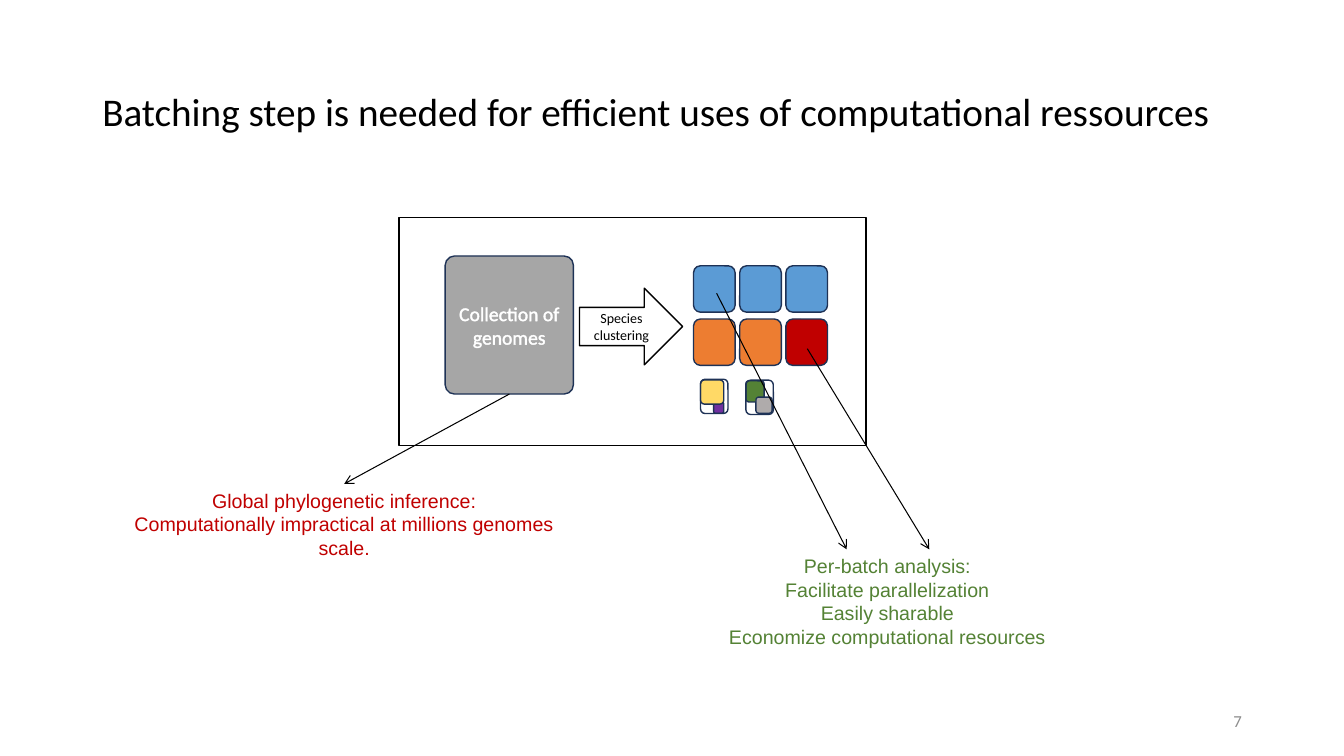
from lxml.etree import SubElement
from pptx import Presentation
from pptx.dml.color import RGBColor
from pptx.enum.shapes import MSO_CONNECTOR, MSO_SHAPE
from pptx.enum.text import MSO_ANCHOR, PP_ALIGN
from pptx.oxml import parse_xml
from pptx.oxml.ns import nsdecls, qn
from pptx.util import Pt

HUES = {
    "black": "000000", "white": "FFFFFF", "navy": "1E3256", "blue": "5B9BD5",
    "orange": "ED7D31", "red": "C00000", "purple": "7030A0", "yellow": "FFD966",
    "green": "548235", "silver": "AFABAB", "gray": "A6A6A6", "dim": "8C8C8C",
}
ROUND = MSO_SHAPE.ROUNDED_RECTANGLE


def hue(name):
    return RGBColor.from_string(HUES[name])


def write(shape, *lines, size=14, font="Calibri", color="black", align=PP_ALIGN.CENTER,
          anchor=MSO_ANCHOR.MIDDLE, space=None, edge=None):
    """Fill a shape with one paragraph per line; edge is the glyph outline colour."""
    frame = shape.text_frame
    frame.word_wrap = True
    frame.vertical_anchor = anchor
    for i, line in enumerate(lines):
        para = frame.add_paragraph() if i else frame.paragraphs[0]
        para.alignment = align
        if space:
            para.line_spacing = space
        run = para.add_run()
        run.text = line
        run.font.size = Pt(size)
        run.font.name = font
        run.font.color.rgb = hue(color)
        if edge:
            run.font._element.insert(0, parse_xml(
                f'<a:ln {nsdecls("a")} w="9525"><a:solidFill>'
                f'<a:srgbClr val="{HUES[edge]}"/></a:solidFill></a:ln>'))


class Board:
    def __init__(self, slide):
        self.shapes = slide.shapes
        self.stroke = 1
        self.thin = 0.75

    def block(self, left, top, width, height, fill=None, line="navy", kind=ROUND):
        shape = self.shapes.add_shape(kind, Pt(left), Pt(top), Pt(width), Pt(height))
        shape.shadow.inherit = False
        if fill:
            shape.fill.solid()
            shape.fill.fore_color.rgb = hue(fill)
        else:
            shape.fill.background()
        shape.line.color.rgb = hue(line)
        shape.line.width = Pt(self.stroke)
        return shape

    def text(self, left, top, width, height, *lines, **style):
        box = self.shapes.add_textbox(Pt(left), Pt(top), Pt(width), Pt(height))
        write(box, *lines, **style)
        return box

    def arrow(self, start, end):
        line = self.shapes.add_connector(
            MSO_CONNECTOR.STRAIGHT, *(Pt(v) for v in (*start, *end)))
        line.line.color.rgb = hue("black")
        line.line.width = Pt(self.thin)
        SubElement(line.line._get_or_add_ln(), qn("a:tailEnd"), type="arrow")
        SubElement(line._element.spPr, qn("a:effectLst"))
        return line


def main():
    deck = Presentation()
    deck.slide_width, deck.slide_height = Pt(960), Pt(540)
    board = Board(deck.slides.add_slide(deck.slide_layouts[6]))

    board.text(66, 28.8, 828, 104.4,
               "Batching step is needed for efficient uses of computational ressources",
               size=28, align=PP_ALIGN.LEFT, space=0.9)

    batches = [["blue"] * 3, ["orange", "orange", "red"]]
    for r, row in enumerate(batches):
        for c, fill in enumerate(row):
            board.block(495.4 + 33 * c, 189.9 + 38 * r, 29.7, 33.1, fill)

    small = [
        (509.8, 287.3, 7.2, 7.9, "purple"),
        (500.4, 271.4, 16.6, 17.3, "yellow"),
        (500.4, 270.9, 19.6, 24.5, None),
        (532.8, 272, 13, 15.1, "green"),
        (532.8, 271.6, 19.6, 24.5, None),
        (540, 283.7, 11.5, 11.5, "silver"),
    ]
    for part in small:
        board.block(*part)

    genomes = board.block(318, 182.9, 91.6, 98.6, "gray")
    genomes.adjustments[0] = 0.072
    write(genomes, "Collection of genomes", color="white", edge="white")
    step = board.block(414, 205.9, 73.6, 54.7, "white", "black", MSO_SHAPE.RIGHT_ARROW)
    write(step, "Species clustering", size=10)
    board.block(285.1, 155.5, 333.4, 162.7, None, "black", MSO_SHAPE.RECTANGLE)

    note = {"font": "Arial", "anchor": MSO_ANCHOR.TOP}
    whole = board.text(77.8, 345.6, 336.2, 58.3, "Global phylogenetic inference:",
                       "Computationally impractical at millions genomes scale.",
                       color="red", **note)
    link = board.arrow((363.8, 281.5), (245.9, 345.6))
    link.begin_connect(genomes, 2)
    link.end_connect(whole, 0)
    board.arrow((511.9, 209.5), (604.8, 392.4))
    board.arrow((576.7, 249.1), (663.8, 392.4))
    board.text(465.8, 392.4, 336.2, 74.9, "Per-batch analysis:",
               "Facilitate parallelization", "Easily sharable",
               "Economize computational resources", color="green", **note)
    board.text(678.2, 500.4, 216, 28.8, "7", size=12, color="dim", align=PP_ALIGN.RIGHT)

    deck.save("out.pptx")


if __name__ == "__main__":
    main()
